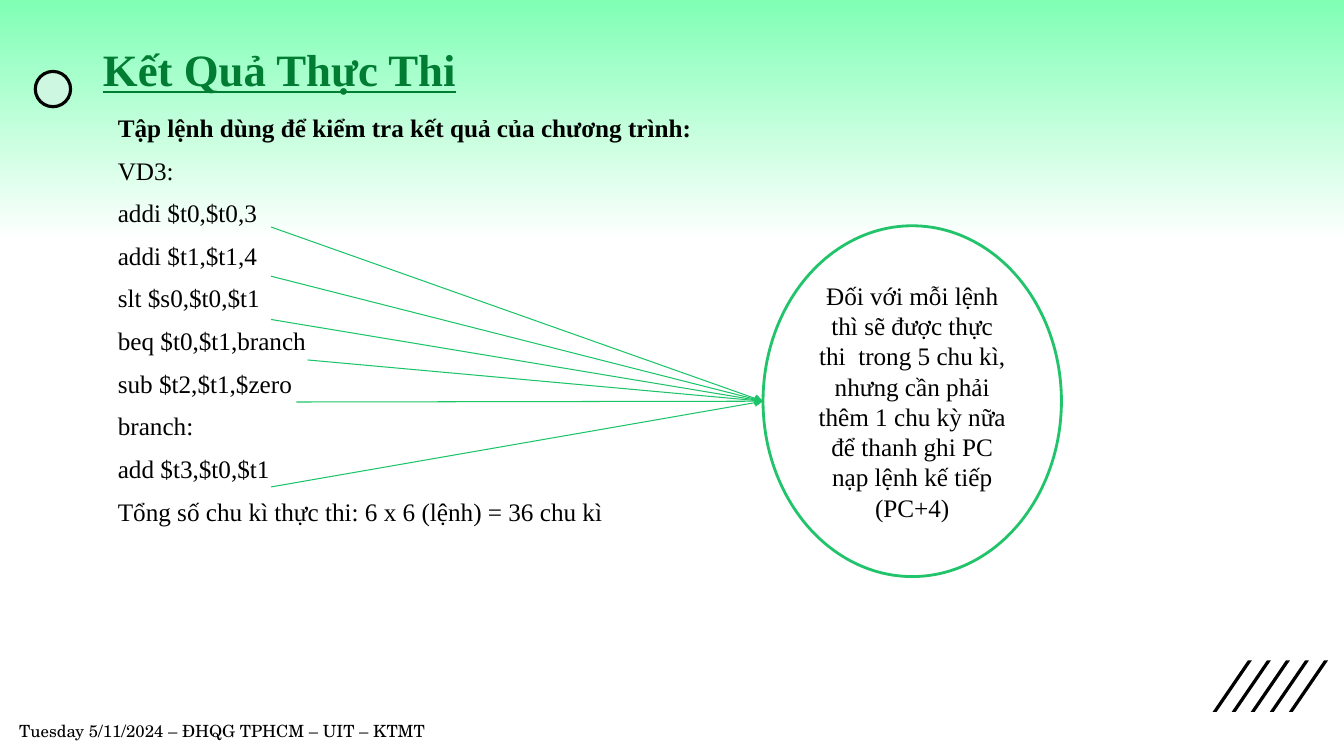
from copy import deepcopy

from lxml.etree import SubElement
from pptx import Presentation
from pptx.dml.color import RGBColor
from pptx.enum.shapes import MSO_CONNECTOR as Connector, MSO_SHAPE as Preset
from pptx.enum.text import MSO_ANCHOR as Anchor, MSO_AUTO_SIZE as AutoSize, PP_ALIGN as Align
from pptx.oxml.ns import qn
from pptx.util import Cm, Pt

COLOURS = {
    "black": "000000",
    "white": "FFFFFF",
    "mint": "80FFB5",
    "pale": "CDF7E0",
    "title": "007C33",
    "oval": "21C46B",
    "arrow": "1CC468",
}
SERIF = "Times New Roman"
TITLE_FONT = {"name": SERIF, "size": Pt(32), "bold": True, "underline": True}
BODY_FONT = {"name": SERIF, "size": Pt(18), "bold": False}
HEADING_FONT = {**BODY_FONT, "bold": True}
FOOTER_FONT = {"name": "TeX Gyre Schola", "size": Pt(12)}

INSTRUCTIONS = [
    "Tập lệnh dùng để kiểm tra kết quả của chương trình:",
    "VD3:",
    "addi $t0,$t0,3",
    "addi $t1,$t1,4",
    "slt $s0,$t0,$t1",
    "beq $t0,$t1,branch",
    "sub $t2,$t1,$zero",
    "branch:",
    "add $t3,$t0,$t1",
    "Tổng số chu kì thực thi: 6 x 6 (lệnh) = 36 chu kì",
]
CYCLE_NOTE = (
    "Đối với mỗi lệnh thì sẽ được thực thi  trong 5 chu kì, nhưng cần phải "
    "thêm 1 chu kỳ nữa để thanh ghi PC nạp lệnh kế tiếp (PC+4)"
)
ARROW_STARTS = [
    (6.83, 5.72), (6.83, 6.96), (6.83, 8.05),
    (7.75, 9.07), (7.47, 10.13), (6.83, 12.27),
]


def colour(name):
    return RGBColor.from_string(COLOURS[name])


def apply(target, values):
    for name, value in values.items():
        setattr(target, name, value)


def write(paragraph, text, font, colour_name="black"):
    paragraph.text = text
    apply(paragraph.font, font)
    paragraph.font.color.rgb = colour(colour_name)


def set_background(slide):
    fill = slide.background.fill
    fill.gradient()
    fill.gradient_angle = 90
    stop_list = slide.element.find(".//" + qn("a:gsLst"))
    stop_list.insert(0, deepcopy(stop_list[0]))
    stops = [(0, "white"), (0.68, "white"), (1, "mint")]
    for stop, (position, name) in zip(fill.gradient_stops, stops):
        stop.position = position
        stop.color.rgb = colour(name)


def add_slashes(slide):
    width, height, thickness, pitch = 0.99, 1.3, 0.1, 0.48
    top = 16.64
    for index in range(5):
        left = 30.56 + index * pitch
        outline = [
            (left, top + height),
            (left + width - thickness, top),
            (left + width, top),
            (left + thickness, top + height),
        ]
        points = [(Cm(x), Cm(y)) for x, y in outline]
        builder = slide.shapes.build_freeform(*points[0])
        builder.add_line_segments(points[1:], close=True)
        slash = builder.convert_to_shape()
        slash.shadow.inherit = False
        slash.fill.solid()
        slash.fill.fore_color.rgb = colour("black")
        slash.line.fill.background()


def add_ellipse(slide, box, fill, line, line_width):
    shape = slide.shapes.add_shape(Preset.OVAL, *map(Cm, box))
    shape.shadow.inherit = False
    shape.fill.solid()
    shape.fill.fore_color.rgb = colour(fill)
    shape.line.color.rgb = colour(line)
    shape.line.width = Pt(line_width)
    return shape


def set_title(slide):
    title = slide.shapes.title
    apply(title, {"left": Cm(2.34), "top": Cm(0.86), "width": Cm(29.21), "height": Cm(1.93)})
    apply(title.text_frame, {"vertical_anchor": Anchor.MIDDLE, "auto_size": AutoSize.NONE})
    paragraph = title.text_frame.paragraphs[0]
    write(paragraph, "Kết Quả Thực Thi", TITLE_FONT, "title")
    apply(paragraph, {"alignment": Align.LEFT, "line_spacing": 0.9})


def add_text_frame(slide, box):
    frame = slide.shapes.add_textbox(*map(Cm, box)).text_frame
    frame.word_wrap = True
    return frame


def add_instructions(slide):
    frame = add_text_frame(slide, (2.34, 2.79, 24.71, 13.79))
    for index, text in enumerate(INSTRUCTIONS):
        paragraph = frame.add_paragraph() if index else frame.paragraphs[0]
        properties = paragraph._p.get_or_add_pPr()
        properties.set("marL", str(Cm(0.38)))
        properties.set("indent", "0")
        paragraph.line_spacing = 0.9
        paragraph.space_before = Pt(11 if index else 0)
        write(paragraph, text, BODY_FONT if index else HEADING_FONT)


def add_cycle_note(slide):
    oval = add_ellipse(slide, (19.23, 5.69, 7.52, 8.84), "white", "oval", 2)
    frame = oval.text_frame
    apply(frame, {"word_wrap": True, "vertical_anchor": Anchor.MIDDLE})
    paragraph = frame.paragraphs[0]
    write(paragraph, CYCLE_NOTE, BODY_FONT)
    paragraph.alignment = Align.CENTER
    return oval


def add_arrow(slide, start, end):
    connector = slide.shapes.add_connector(Connector.STRAIGHT, *map(Cm, start), *end)
    connector.line.color.rgb = colour("arrow")
    connector.line.width = Pt(0.75)
    SubElement(connector.line._get_or_add_ln(), qn("a:tailEnd"), type="triangle")
    SubElement(connector._element.spPr, qn("a:effectLst"))


def main():
    presentation = Presentation()
    apply(presentation, {"slide_width": Cm(33.87), "slide_height": Cm(19.05)})
    slide = presentation.slides.add_slide(presentation.slide_layouts[5])
    set_background(slide)
    add_slashes(slide)
    add_ellipse(slide, (0.89, 1.8, 0.89, 0.89), "pale", "black", 2.25)
    set_title(slide)
    add_instructions(slide)
    footer = add_text_frame(slide, (0.23, 18.03, 11.02, 0.76))
    write(footer.paragraphs[0], "Tuesday 5/11/2024 – ĐHQG TPHCM – UIT – KTMT", FOOTER_FONT)
    oval = add_cycle_note(slide)
    for start in ARROW_STARTS:
        add_arrow(slide, start, (oval.left, oval.top + oval.height // 2))
    presentation.save("out.pptx")


if __name__ == "__main__":
    main()
